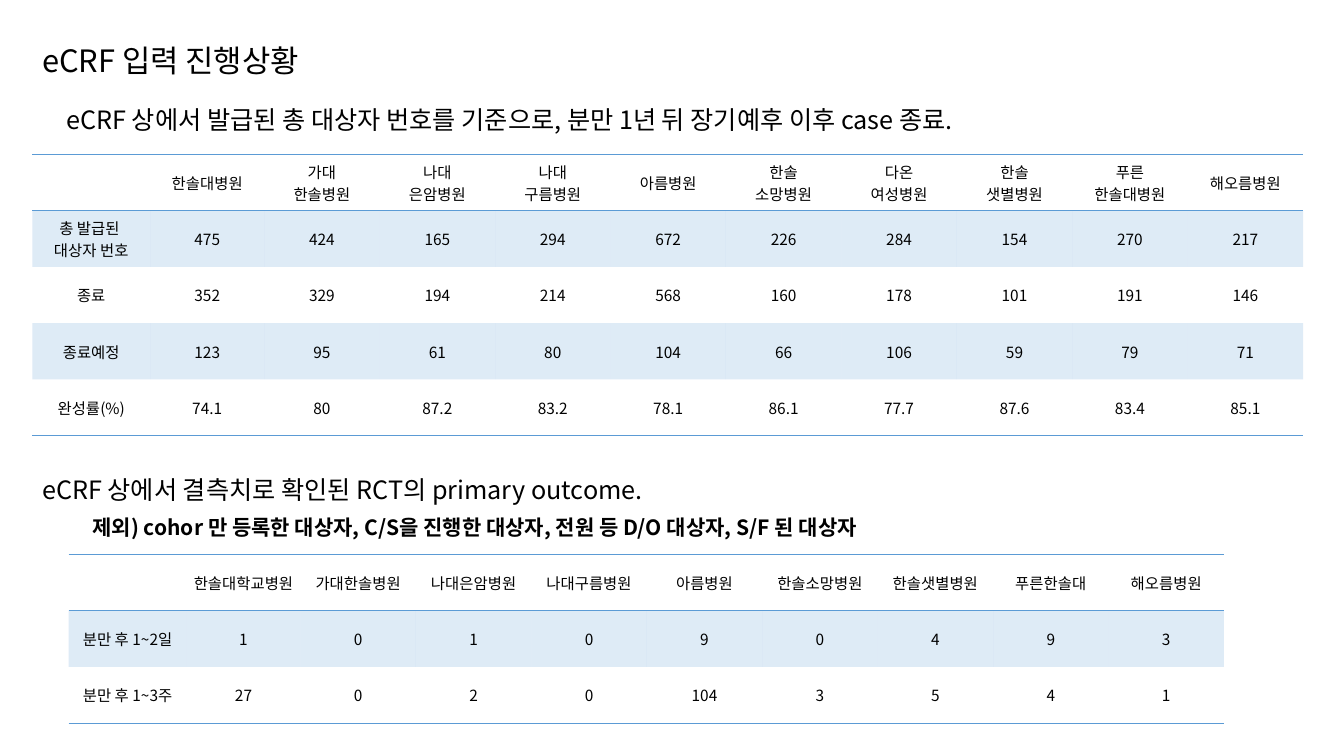
from dataclasses import dataclass

from lxml import etree
from pptx import Presentation
from pptx.dml.color import RGBColor
from pptx.enum.text import MSO_ANCHOR, MSO_AUTO_SIZE, PP_ALIGN
from pptx.oxml.ns import qn
from pptx.util import Inches, Pt

MIDDLE = MSO_ANCHOR.MIDDLE
CENTER = PP_ALIGN.CENTER
GROW = MSO_AUTO_SIZE.SHAPE_TO_FIT_TEXT

FONT = "Noto Sans CJK KR"
BLACK = RGBColor(0x00, 0x00, 0x00)
BLUE = RGBColor(0x5B, 0x9B, 0xD5)
BAND_ALPHA = 20  # percent
PLAIN_STYLE = "{2D5ABB26-0587-4C30-8999-92F81FD0307C}"

SLIDE_W, SLIDE_H = Inches(13.33), Inches(7.5)

# Table grid, in percent of the slide's width and height
LABEL_COL, FIRST_COL, COL = 8.78, 8.48, 8.59
ROW = 7.45


@dataclass
class Caption:
    text: str
    left: float
    top: float
    width: float
    height: float
    size: int
    spacing: float = 1.5
    bold: bool = False


@dataclass
class Grid:
    left: float
    top: float
    rows: list[list[str]]
    tight: bool = False


CAPTIONS = [
    Caption("eCRF 입력 진행상황", 2.4, 4.93, 95.2, 6.27, 22, spacing=1.0),
    Caption("eCRF 상에서 발급된 총 대상자 번호를 기준으로, 분만 1년 뒤 장기예후 이후 case 종료.",
            4.2, 11.2, 87.6, 6.67, 18),
    Caption("eCRF 상에서 결측치로 확인된 RCT의 primary outcome.",
            2.4, 60.13, 87.6, 6.67, 18),
    Caption("제외) cohor 만 등록한 대상자, C/S을 진행한 대상자, 전원 등 D/O 대상자, S/F 된 대상자",
            6.15, 65.73, 87.6, 5.73, 15, bold=True),
]

# \v breaks a line, \n starts a paragraph
GRIDS = [
    Grid(2.4, 20.4, [
        ["", "한솔대병원", "가대\v한솔병원", "나대\v은암병원", "나대\v구름병원", "아름병원",
         "한솔\v소망병원", "다온\v여성병원", "한솔\v샛별병원", "푸른\v한솔대병원", "해오름병원"],
        ["총 발급된 \n대상자 번호", "475", "424", "165", "294", "672",
         "226", "284", "154", "270", "217"],
        ["종료", "352", "329", "194", "214", "568", "160", "178", "101", "191", "146"],
        ["종료예정", "123", "95", "61", "80", "104", "66", "106", "59", "79", "71"],
        ["완성률(%)", "74.1", "80", "87.2", "83.2", "78.1",
         "86.1", "77.7", "87.6", "83.4", "85.1"],
    ]),
    Grid(5.1, 73.33, [
        ["", "한솔대학교병원", "가대한솔병원", "나대은암병원", "나대구름병원", "아름병원",
         "한솔소망병원", "한솔샛별병원", "푸른한솔대", "해오름병원"],
        ["분만 후 1~2일", "1", "0", "1", "0", "9", "0", "4", "9", "3"],
        ["분만 후 1~3주", "27", "0", "2", "0", "104", "3", "5", "4", "1"],
    ], tight=True),
]


def across(percent: float) -> int:
    return round(SLIDE_W * percent / 100)


def down(percent: float) -> int:
    return round(SLIDE_H * percent / 100)


def style_paragraph(p, size: int, bold: bool = False) -> None:
    p.font.name = FONT
    p.font.size = Pt(size)
    p.font.bold = bold
    p.font.color.rgb = BLACK
    # East Asian typeface for the Korean text
    props = p._p.get_or_add_pPr().find(qn("a:defRPr"))
    etree.SubElement(props, qn("a:ea")).set("typeface", FONT)


def add_border(cell, side: str) -> None:
    ln = etree.SubElement(cell._tc.get_or_add_tcPr(), qn(f"a:{side}"), w=str(Pt(1)))
    fill = etree.SubElement(ln, qn("a:solidFill"))
    etree.SubElement(fill, qn("a:srgbClr"), val=str(BLUE))


def fill_band(cell) -> None:
    cell.fill.solid()
    cell.fill.fore_color.rgb = BLUE
    color = cell._tc.tcPr.find(qn("a:solidFill")).find(qn("a:srgbClr"))
    etree.SubElement(color, qn("a:alpha"), val=str(BAND_ALPHA * 1000))


def add_caption(s, c: Caption) -> None:
    tf = s.shapes.add_textbox(across(c.left), down(c.top),
                              across(c.width), down(c.height)).text_frame
    tf.word_wrap = True
    tf.auto_size = GROW
    p = tf.paragraphs[0]
    p.text = c.text
    p.line_spacing = c.spacing
    style_paragraph(p, c.size, c.bold)


def add_grid(s, g: Grid) -> None:
    n_rows, n_cols = len(g.rows), len(g.rows[0])
    widths = [LABEL_COL, FIRST_COL] + [COL] * (n_cols - 2)
    table = s.shapes.add_table(n_rows, n_cols, across(g.left), down(g.top),
                               across(sum(widths)), down(ROW * n_rows)).table
    table.first_row = table.horz_banding = False
    table._tbl.tblPr.find(qn("a:tableStyleId")).text = PLAIN_STYLE
    for column, width in zip(table.columns, widths):
        column.width = across(width)

    for i, values in enumerate(g.rows):
        table.rows[i].height = down(ROW)
        for j, value in enumerate(values):
            cell = table.cell(i, j)
            cell.text = value
            cell.vertical_anchor = MIDDLE
            if g.tight:
                cell.margin_left = cell.margin_right = 0
                cell.margin_top = cell.margin_bottom = 0
            for p in cell.text_frame.paragraphs:
                p.alignment = CENTER
                style_paragraph(p, 11)
            # Rules around the header and below the last row
            if i == 0:
                add_border(cell, "lnT")
            if i in (0, n_rows - 1):
                add_border(cell, "lnB")
            if i % 2:
                fill_band(cell)
            else:
                cell.fill.background()


def main() -> None:
    prs = Presentation()
    prs.slide_width, prs.slide_height = SLIDE_W, SLIDE_H
    s = prs.slides.add_slide(prs.slide_layouts[6])
    for g in GRIDS:
        add_grid(s, g)
    for c in CAPTIONS:
        add_caption(s, c)
    prs.save("out.pptx")


if __name__ == "__main__":
    main()
